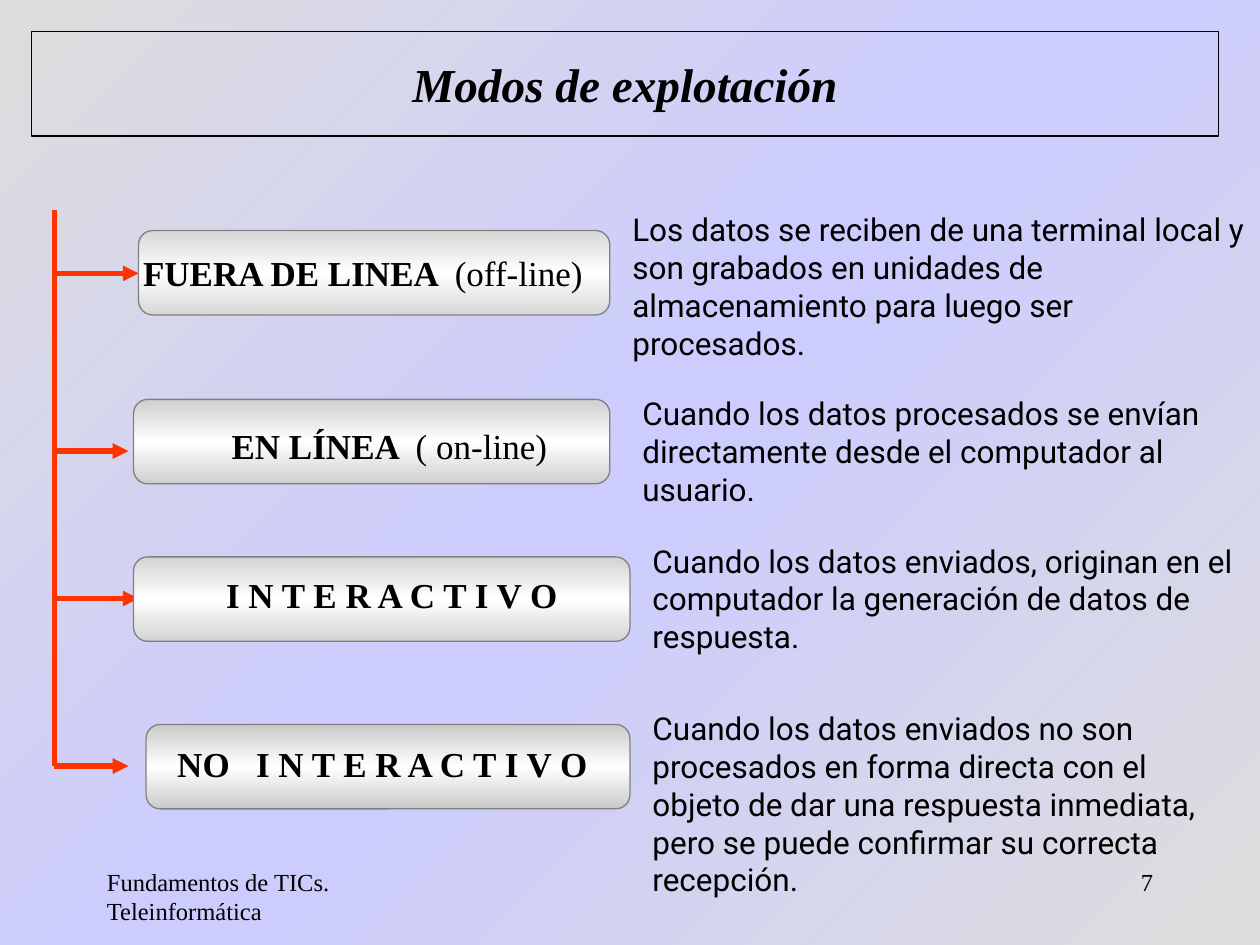
from copy import deepcopy
from pptx import Presentation
from pptx.dml.color import RGBColor
from pptx.enum.shapes import MSO_CONNECTOR, MSO_SHAPE
from pptx.enum.text import MSO_ANCHOR, PP_ALIGN
from pptx.oxml.ns import qn
from pptx.util import Inches, Pt

LINE = MSO_CONNECTOR.STRAIGHT
RECT, ROUND = MSO_SHAPE.RECTANGLE, MSO_SHAPE.ROUNDED_RECTANGLE
LEFT, MID, RIGHT = PP_ALIGN.LEFT, PP_ALIGN.CENTER, PP_ALIGN.RIGHT
TOP, CENTER = MSO_ANCHOR.TOP, MSO_ANCHOR.MIDDLE
SERIF, SANS = "Times New Roman", "Roboto"
RED, GREY, BLACK = "FF3300", "808080", "000000"

TITLE = "Modos de explotación"
FOOT, PAGE = "Fundamentos de TICs. Teleinformática", "7"

# Each mode: bold name, plain note, explanation
MODES = [
    ("FUERA DE LINEA  ", "(off-line)",
     "Los datos se reciben de una terminal local y son grabados en unidades de "
     "almacenamiento para luego ser procesados."),
    ("EN LÍNEA  ", "( on-line)",
     "Cuando los datos procesados se envían directamente desde el computador al usuario."),
    ("I N T E R A C T I V O", "",
     "Cuando los datos enviados, originan en el computador la generación de datos "
     "de respuesta."),
    ("NO   I N T E R A C T I V O", "",
     "Cuando los datos enviados no son procesados en forma directa con el objeto de dar "
     "una respuesta inmediata, pero se puede confirmar su correcta recepción."),
]
# Each row: bar left, top, right, edge shade; arrow y and tip;
# label left, top, width; explanation left, top, width
ROWS = [
    ((1.1, 1.83, 4.84, "D7D7D7"), (2.17, 1.1), (0.98, 1.95, 3.8), (4.92, 1.62, 5.08)),
    ((1.06, 3.17, 4.84, "CFCFCF"), (3.58, 1.02), (1.62, 3.32, 2.94), (5, 3.08, 4.96)),
    ((1.06, 4.42, 5, "D3D3D3"), (4.75, 1.1), (1.58, 4.5, 3.06), (5.08, 4.25, 4.92)),
    ((1.16, 5.75, 5, "CACACA"), (6.08, 1.02), (1.17, 5.84, 3.73), (5.08, 5.58, 4.84)),
]
SPINE, START, HIGH = 0.43, 1.67, 0.67

deck = Presentation()
deck.slide_width, deck.slide_height = Inches(10), Inches(7.5)
slide = deck.slides.add_slide(deck.slide_layouts[6])
shapes = slide.shapes


def rgb(code):
    return RGBColor.from_string(code)


def grade(fill, root, edge, core, angle):
    """Blend edge to core and back; angle runs clockwise."""
    fill.gradient()
    fill.gradient_angle = 360 - angle
    stops = next(root.iter(qn("a:gsLst")))
    stops.append(deepcopy(stops[-1]))
    for stop, code, place in zip(fill.gradient_stops, (edge, core, edge), (0, 0.5, 1)):
        stop.color.rgb = rgb(code)
        stop.position = place


def write(frame, *parts, size=18, font=SANS, align=LEFT, anchor=TOP, italic=False):
    """Put (text, bold) parts in one paragraph."""
    frame.word_wrap = True
    frame.vertical_anchor = anchor
    para = frame.paragraphs[0]
    para.alignment = align
    for text, bold in parts:
        run = para.add_run()
        run.text = text
        face = run.font
        face.name, face.size = font, Pt(size)
        face.bold, face.italic = bold, italic
        face.color.rgb = rgb(BLACK)


def label(left, top, wide, high, *parts, **form):
    box = shapes.add_textbox(*map(Inches, (left, top, wide, high)))
    write(box.text_frame, *parts, **form)


def panel(kind, left, top, wide, high, color):
    item = shapes.add_shape(kind, *map(Inches, (left, top, wide, high)))
    item.shadow.inherit = False
    item.line.color.rgb = rgb(color)
    item.line.width = Pt(0.75)
    return item


def rule(x1, y1, x2, y2, head=False):
    item = shapes.add_connector(LINE, *map(Inches, (x1, y1, x2, y2)))
    item.line.color.rgb = rgb(RED)
    item.line.width = Pt(3)
    if head:
        stroke = item.line._get_or_add_ln()
        stroke.append(stroke.makeelement(qn("a:tailEnd"), {"type": "triangle"}))
    props = item._element.spPr
    props.append(props.makeelement(qn("a:effectLst"), {}))


# Background and title
grade(slide.background.fill, slide._element, "DDDDDD", "CCCCFF", 45)
head = panel(RECT, 0.25, 0.25, 9.42, 0.83, BLACK)
head.fill.background()
write(head.text_frame, (TITLE, True), size=27, font=SERIF, align=MID,
      anchor=CENTER, italic=True)

# Spine with one arrow per mode
last = START
for _, (y, tip), _, _ in ROWS:
    rule(SPINE, last, SPINE, y)
    rule(SPINE, y, tip, y, head=True)
    last = y

# Bars, names and explanations
for (name, note, body), (bar, _, spot, side) in zip(MODES, ROWS):
    left, top, right, shade = bar
    pill = panel(ROUND, left, top, right - left, HIGH, GREY)
    pill.adjustments[0] = 0.167
    grade(pill.fill, pill._element, shade, "FFFFFF", 90)
    parts = [(name, True)] + ([(note, False)] if note else [])
    label(*spot, 0.43, *parts, size=20, font=SERIF, align=MID)
    label(*side, 1, (body, False))

# Footer
label(0.75, 6.83, 2.08, 0.5, (FOOT, False), size=14, font=SERIF)
label(7.17, 6.83, 2.08, 0.5, (PAGE, False), size=14, font=SERIF, align=RIGHT)

deck.save("out.pptx")
